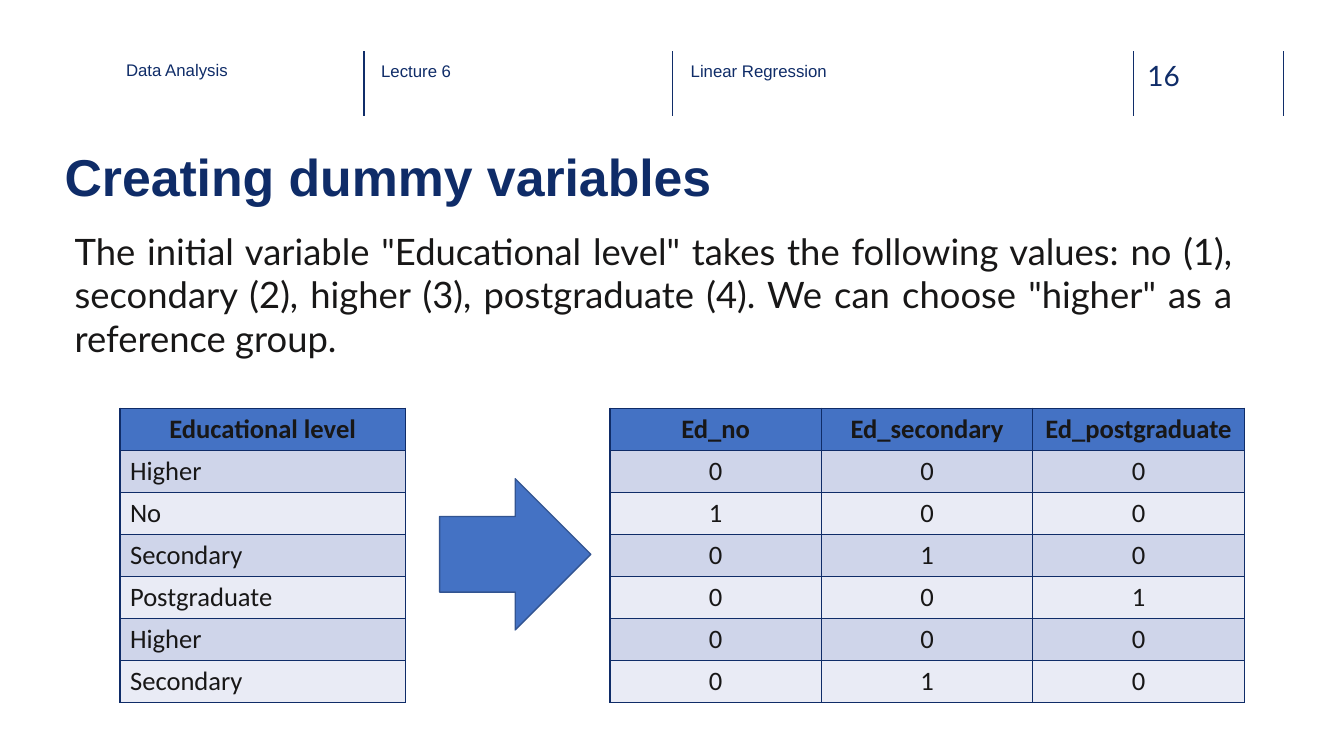
"""Build the slide on turning an educational level into dummy variables."""
from dataclasses import dataclass

from lxml import etree
from pptx import Presentation
from pptx import util as u
from pptx.dml.color import RGBColor
from pptx.enum import shapes, text
from pptx.oxml.ns import qn

WIDTH, HEIGHT = u.Inches(13.33), u.Inches(7.5)
NAVY, RULE, INK = "0F2C68", "102D69", "181717"
BLUE, BLUE_EDGE = "4472C4", "325491"
BANDS = ("CFD5EA", "E9EBF5")
CENTER, LEFT = text.PP_ALIGN.CENTER, text.PP_ALIGN.LEFT
TOP, MIDDLE = text.MSO_ANCHOR.TOP, text.MSO_ANCHOR.MIDDLE


@dataclass
class Area:
    """A rectangle in percent of the slide's width and height."""
    left: float
    top: float
    width: float
    height: float

    def lengths(self):
        """Return left, top, width and height as lengths."""
        return (across(self.left), down(self.top),
                across(self.width), down(self.height))


@dataclass
class Style:
    """The look of a run of text."""
    size: float
    font: str
    color: str
    bold: bool = False


@dataclass
class Label:
    """A short text in the header strip."""
    words: str
    area: Area
    style: Style


@dataclass
class Grid:
    """A table with a header row."""
    area: Area
    rows: list
    align: text.PP_ALIGN
    anchor: text.MSO_ANCHOR


SMALL = Style(12, "Arial", NAVY)
LABELS = [
    Label("Data Analysis", Area(9.38, 7.87, 16.95, 6), SMALL),
    Label("Lecture 6", Area(28.36, 8, 16.95, 6), SMALL),
    Label("Linear Regression", Area(51.39, 8, 16.95, 6), SMALL),
    Label("16", Area(85.37, 7.73, 5.48, 4.53), Style(20, "Lato", RULE)),
]
DIVIDERS = (27.08, 50.04, 84.32, 95.5)
DIVIDER_TOP, DIVIDER_BOTTOM = 6.8, 15.33
LEVELS = ["Higher", "No", "Secondary", "Postgraduate", "Higher", "Secondary"]
DUMMIES = ["No", "Secondary", "Postgraduate"]
GRIDS = [
    Grid(Area(8.93, 54, 21.23, 38.93),
         [["Educational level"]] + [[level] for level in LEVELS], LEFT, TOP),
    Grid(Area(45.39, 54, 47.19, 38.93),
         [[f"Ed_{dummy.lower()}" for dummy in DUMMIES]]
         + [[str(int(level == dummy)) for dummy in DUMMIES] for level in LEVELS],
         CENTER, MIDDLE),
]
ARROW = Area(32.71, 63.33, 11.25, 20)
BODY = ('The initial variable "Educational level" takes the following values: '
        'no (1), secondary (2), higher (3), postgraduate (4). '
        'We can choose "higher" as a reference group.')


def across(share: float) -> int:
    """Turn a percentage of the slide's width into a length."""
    return round(WIDTH * share / 100)


def down(share: float) -> int:
    """Turn a percentage of the slide's height into a length."""
    return round(HEIGHT * share / 100)


def paint(target, color: str) -> None:
    """Give a fill or a font colour a solid hex colour."""
    if hasattr(target, "solid"):
        target.solid()
        target = target.fore_color
    target.rgb = RGBColor.from_string(color)


def write(frame, words: str, style: Style, align=LEFT, anchor=TOP) -> None:
    """Put one styled paragraph into a text frame."""
    frame.text = words
    frame.vertical_anchor = anchor
    para = frame.paragraphs[0]
    para.alignment = align
    para.space_before = u.Pt(0)
    span = para.runs[0]
    span.font.size = u.Pt(style.size)
    span.font.name = style.font
    span.font.bold = style.bold
    paint(span.font.color, style.color)


def place(box, area: Area) -> None:
    """Move a placeholder to an area."""
    box.left, box.top, box.width, box.height = area.lengths()
    box.text_frame.word_wrap = True
    box.text_frame.auto_size = text.MSO_AUTO_SIZE.NONE


def clear_insets(frame) -> None:
    """Remove the inner margins of a text frame."""
    frame.margin_left = frame.margin_top = 0
    frame.margin_right = frame.margin_bottom = 0


def draw_divider(page, share: float) -> None:
    """Draw one upright rule of the header strip."""
    line = page.shapes.add_connector(
        shapes.MSO_CONNECTOR.STRAIGHT, across(share), down(DIVIDER_TOP),
        across(share), down(DIVIDER_BOTTOM))
    line.line.width = u.Pt(1)
    paint(line.line.fill, RULE)
    etree.SubElement(line._element.spPr, qn("a:effectLst"))


def draw_label(page, label: Label) -> None:
    """Draw one text of the header strip."""
    box = page.shapes.add_textbox(*label.area.lengths())
    box.text_frame.word_wrap = True
    clear_insets(box.text_frame)
    write(box.text_frame, label.words, label.style)


def add_borders(cell) -> None:
    """Frame a cell with thin lines."""
    properties = cell._tc.get_or_add_tcPr()
    for side in ("lnL", "lnR", "lnT", "lnB"):
        edge = etree.SubElement(properties, qn(f"a:{side}"), w=str(u.Pt(1)))
        fill = etree.SubElement(edge, qn("a:solidFill"))
        etree.SubElement(fill, qn("a:srgbClr"), val=NAVY)


def draw_grid(page, grid: Grid) -> None:
    """Draw a banded table."""
    table = page.shapes.add_table(
        len(grid.rows), len(grid.rows[0]), *grid.area.lengths()).table
    for index, values in enumerate(grid.rows):
        header = index == 0
        for column, value in enumerate(values):
            cell = table.cell(index, column)
            write(cell.text_frame, value, Style(19, "Calibri", INK, header),
                  CENTER if header else grid.align)
            cell.vertical_anchor = grid.anchor
            add_borders(cell)
            paint(cell.fill, BLUE if header else BANDS[(index - 1) % 2])


def draw_arrow(page) -> None:
    """Draw the block arrow between the tables."""
    arrow = page.shapes.add_shape(shapes.MSO_SHAPE.RIGHT_ARROW, *ARROW.lengths())
    arrow.shadow.inherit = False
    paint(arrow.fill, BLUE)
    paint(arrow.line.fill, BLUE_EDGE)
    arrow.line.width = u.Pt(1)


def main() -> None:
    """Build and save the deck."""
    deck = Presentation()
    deck.slide_width, deck.slide_height = WIDTH, HEIGHT
    page = deck.slides.add_slide(deck.slide_layouts[1])
    title, body = page.shapes.title, page.placeholders[1]
    place(title, Area(4.8, 19.2, 90.7, 11.33))
    clear_insets(title.text_frame)
    write(title.text_frame, "Creating dummy variables", Style(37, "Arial", NAVY, True))
    place(body, Area(4.8, 29.6, 87.77, 18.8))
    write(body.text_frame, BODY, Style(26, "Lato", INK), text.PP_ALIGN.JUSTIFY)
    properties = body.text_frame.paragraphs[0]._p.get_or_add_pPr()
    properties.set("marL", "0")
    properties.set("indent", "0")
    etree.SubElement(properties, qn("a:buNone"))
    for share in DIVIDERS:
        draw_divider(page, share)
    for label in LABELS:
        draw_label(page, label)
    for grid in GRIDS:
        draw_grid(page, grid)
    draw_arrow(page)
    deck.save("out.pptx")


if __name__ == "__main__":
    main()
